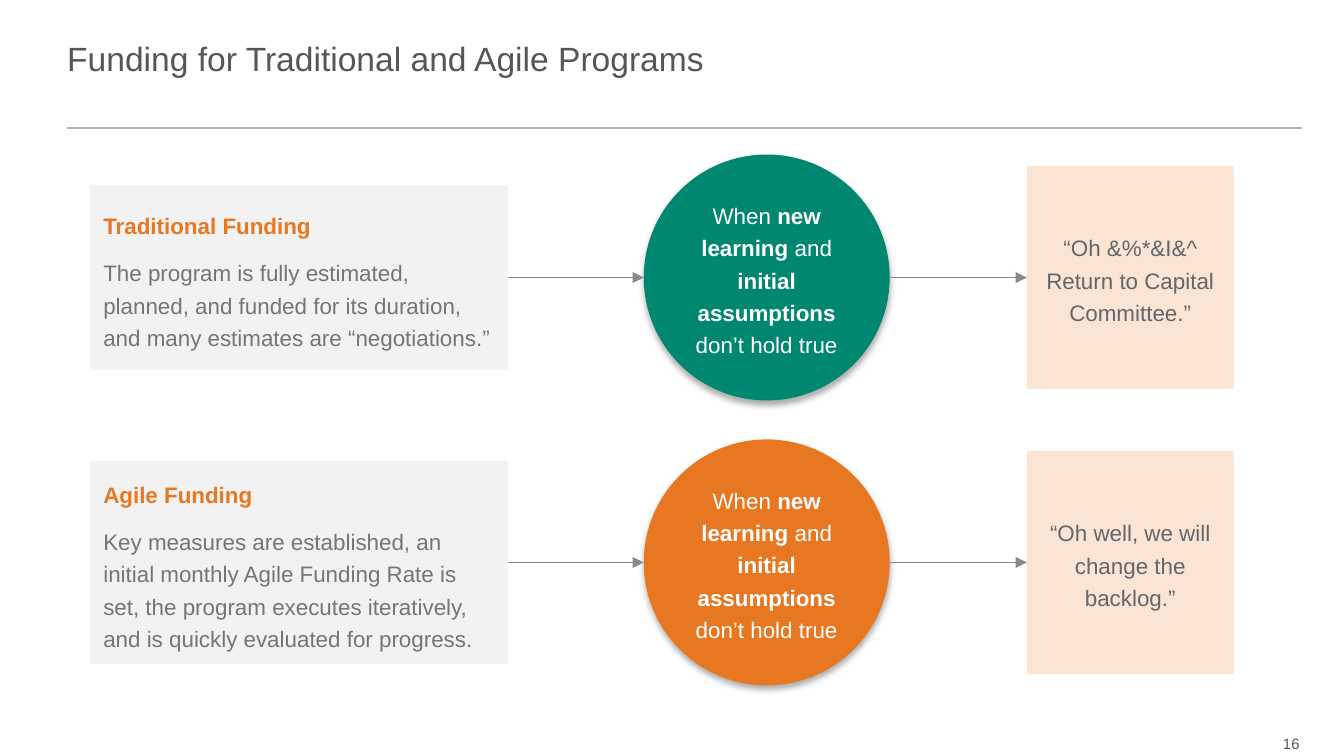
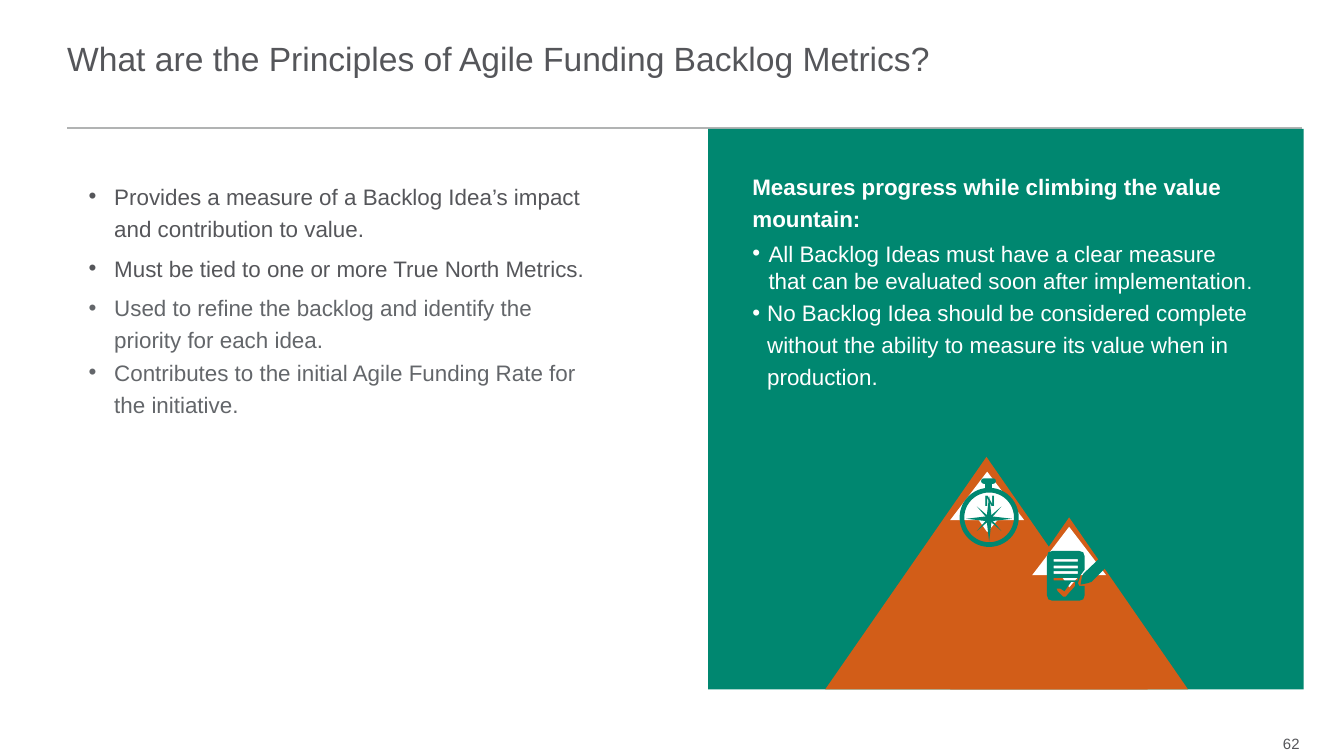
from collections import namedtuple
from dataclasses import dataclass
from math import cos, radians, sin

from lxml.etree import SubElement
from pptx import Presentation
from pptx.dml.color import RGBColor
from pptx.enum.shapes import MSO_CONNECTOR, MSO_SHAPE as Shape
from pptx.enum.text import MSO_ANCHOR as Anchor, MSO_AUTO_SIZE, PP_ALIGN as Align
from pptx.oxml.ns import qn
from pptx.util import Inches, Pt

Box = namedtuple("Box", "x y w h")


@dataclass(frozen=True)
class Theme:
    font: str = "Arial"
    title_size: float = 18
    body_size: float = 12
    period_size: float = 11
    small_size: float = 8
    ink: str = "55565A"
    soft_ink: str = "63666A"
    grey_text: str = "757575"
    white: str = "FFFFFF"
    green: str = "008770"
    orange: str = "E87722"
    rust: str = "D25D18"
    peach: str = "FAE4D3"
    pale_grey: str = "F2F2F2"
    rule: str = "B1B3B3"
    arrow: str = "888B8D"


THEME = Theme()


@dataclass
class Para:
    """One paragraph; text between bars is bold."""
    text: str
    color: str
    size: float = THEME.body_size
    bold: bool = False
    align: Align = Align.LEFT
    spacing: float = 1.2
    after: float = 0
    indent: float = 0


def rgb(code):
    return RGBColor.from_string(code)


def inside(box, x, y, w, h):
    return Box(box.x + x, box.y + y, w, h)


def move(shape, box):
    shape.left, shape.top, shape.width, shape.height = map(Inches, box)


def write(frame, paras, anchor=Anchor.TOP, insets=(0.1, 0.05)):
    frame.word_wrap = True
    frame.auto_size = MSO_AUTO_SIZE.NONE
    frame.vertical_anchor = anchor
    frame.margin_left = frame.margin_right = Inches(insets[0])
    frame.margin_top = frame.margin_bottom = Inches(insets[1])
    for index, para in enumerate(paras):
        paragraph = frame.add_paragraph() if index else frame.paragraphs[0]
        for order, piece in enumerate(para.text.split("|")):
            run = paragraph.add_run()
            run.text = piece
            if order % 2:
                run.font.bold = True
        if para.indent:
            props = paragraph._p.get_or_add_pPr()
            props.set("marL", str(Inches(para.indent)))
            props.set("indent", str(-Inches(para.indent)))
            SubElement(props, qn("a:buFont"), typeface=THEME.font)
            SubElement(props, qn("a:buChar"), char="•")
        paragraph.alignment = para.align
        paragraph.line_spacing = para.spacing
        paragraph.space_before = Pt(0)
        paragraph.space_after = Pt(para.after)
        font = paragraph.font
        font.name, font.size, font.bold = THEME.font, Pt(para.size), para.bold
        font.color.rgb = rgb(para.color)


def add_text(slide, box, paras, **layout):
    frame = slide.shapes.add_textbox(*map(Inches, box)).text_frame
    write(frame, paras, **layout)
    return frame


def paint(shape, color):
    shape.shadow.inherit = False
    shape.fill.solid()
    shape.fill.fore_color.rgb = rgb(color)
    shape.line.fill.background()
    return shape


def add_block(slide, kind, box, color):
    return paint(slide.shapes.add_shape(kind, *map(Inches, box)), color)


def add_polygon(slide, box, contours, color):
    """Fill closed contours given relative to the box; later ones cut holes."""
    outline, *holes = [[(Inches(box.x + x), Inches(box.y + y)) for x, y in points]
                       for points in contours]
    builder = slide.shapes.build_freeform(*outline[0], scale=1.0)
    builder.add_line_segments(outline[1:], close=True)
    for hole in holes:
        builder.move_to(*hole[0])
        builder.add_line_segments(hole[1:], close=True)
    return paint(builder.convert_to_shape(), color)


def add_line(slide, start, end, color, width, arrow=False):
    ends = map(Inches, (*start, *end))
    line = slide.shapes.add_connector(MSO_CONNECTOR.STRAIGHT, *ends)
    line.line.color.rgb = rgb(color)
    line.line.width = Pt(width)
    props = line._element.spPr
    if arrow:
        SubElement(props.find(qn("a:ln")), qn("a:tailEnd"), type="triangle")
    SubElement(props, qn("a:effectLst"))


def add_soft_shadow(shape):
    effects = shape._element.spPr.find(qn("a:effectLst"))
    shadow = SubElement(effects, qn("a:outerShdw"), blurRad=str(Pt(3.5)),
                        dist=str(Pt(2.2)), dir="5400000", rotWithShape="0")
    tint = SubElement(shadow, qn("a:srgbClr"), val="000000")
    SubElement(tint, qn("a:alpha"), val="32000")


def start_slide(deck, layout, title, number):
    """Add a slide with the shared title, rule and page number."""
    slide = deck.slides.add_slide(deck.slide_layouts.get_by_name(layout))
    add_line(slide, (0.5, 0.95), (9.69, 0.95), THEME.rule, 1)
    move(slide.shapes.title, Box(0.5, 0.07, 7.33, 0.73))
    write(slide.shapes.title.text_frame,
          [Para(title, THEME.ink, THEME.title_size, spacing=1)],
          anchor=Anchor.MIDDLE, insets=(0, 0))
    add_text(slide, Box(9.25, 5.43, 0.42, 0.2),
             [Para(str(number), THEME.ink, THEME.small_size, align=Align.RIGHT, spacing=1)],
             anchor=Anchor.MIDDLE, insets=(0, 0))
    return slide


def add_funding_row(slide, row, heading, plan, plan_height, circle_color, reaction):
    """Funding plan, learning circle and reaction, centred on the row's middle."""
    def centred(x, w, h):
        return inside(row, x, (row.h - h) / 2, w, h)

    plan_box = centred(0, 3.11, plan_height)
    circle_box = centred(4.12, 1.83, 1.83)
    reaction_box = centred(6.97, 1.54, 1.66)

    funding = add_block(slide, Shape.RECTANGLE, plan_box, THEME.pale_grey)
    write(funding.text_frame,
          [Para(heading, THEME.orange, bold=True, spacing=1.3, after=8),
           Para(plan, THEME.grey_text, after=8)],
          anchor=Anchor.MIDDLE, insets=(0.1, 0.1))

    quote = add_block(slide, Shape.RECTANGLE, reaction_box, THEME.peach)
    write(quote.text_frame, [Para(reaction, THEME.soft_ink, align=Align.CENTER)],
          anchor=Anchor.MIDDLE)

    learning = add_block(slide, Shape.OVAL, circle_box, circle_color)
    add_soft_shadow(learning)
    write(learning.text_frame,
          [Para("When |new learning |and |initial assumptions| don’t hold true",
                THEME.white, align=Align.CENTER)],
          anchor=Anchor.MIDDLE)

    middle = row.y + row.h / 2
    for left, right in ((plan_box, circle_box), (circle_box, reaction_box)):
        add_line(slide, (left.x + left.w, middle), (right.x, middle),
                 THEME.arrow, 0.75, arrow=True)


def add_compass(slide, box):
    add_text(slide, inside(box, -0.19, 0.05, 0.83, 0.24),
             [Para("N", THEME.green, THEME.small_size, bold=True,
                   align=Align.CENTER, spacing=1)])
    ring = add_block(slide, Shape.DONUT, inside(box, 0, 0.07, 0.44, 0.44), THEME.green)
    ring.adjustments[0] = 0.08
    for part in ((0.16, 0, 0.11, 0.04), (0.19, 0.02, 0.05, 0.08)):
        knob = add_block(slide, Shape.ROUNDED_RECTANGLE, inside(box, *part), THEME.green)
        knob.adjustments[0] = 0.5
    add_block(slide, Shape.OVAL, inside(box, 0.2, 0.27, 0.04, 0.05), THEME.green)
    center_x, center_y = 0.22, 0.3
    for angle in range(0, 360, 45):
        length, half = (0.13, 0.01) if angle % 90 else (0.17, 0.02)
        across, along = cos(radians(angle)), sin(radians(angle))
        needle = [(center_x + length * across, center_y + length * along),
                  (center_x - half * along, center_y + half * across),
                  (center_x + half * along, center_y - half * across)]
        add_polygon(slide, box, [needle], THEME.green)


def add_checklist(slide, box):
    sheet = [(0.04, 0), (0.24, 0), (0.27, 0.01), (0.28, 0.04), (0.28, 0.14),
             (0.25, 0.18), (0.23, 0.24), (0.24, 0.26), (0.28, 0.26),
             (0.28, 0.33), (0.27, 0.36), (0.24, 0.37), (0.04, 0.37),
             (0.01, 0.36), (0, 0.33), (0, 0.04), (0.01, 0.01)]
    text_lines = [[(0.05, y), (0.23, y), (0.23, y + 0.02), (0.05, y + 0.02)]
                  for y in (0.06, 0.11, 0.15, 0.2)]
    tick = [(0.21, 0.26), (0.14, 0.34), (0.12, 0.34), (0.08, 0.3), (0.07, 0.28),
            (0.1, 0.28), (0.13, 0.3), (0.18, 0.23), (0.21, 0.23)]
    add_polygon(slide, box, [sheet, *text_lines, tick], THEME.green)
    pencil = [(0.49, -0.04), (0.27, 0.17), (0.26, 0.19), (0.25, 0.25), (0.3, 0.24),
              (0.33, 0.23), (0.54, 0.02), (0.54, 0), (0.5, -0.04)]
    add_polygon(slide, box, [pencil], THEME.green)


def add_value_mountain(slide, box):
    for slope in ((0, 0, 2.4, 1.73), (0.93, 0.45, 1.77, 1.28)):
        add_block(slide, Shape.ISOSCELES_TRIANGLE, inside(box, *slope), THEME.rust)
    for x, y in ((0.93, 0.11), (1.54, 0.52)):
        add_block(slide, Shape.ISOSCELES_TRIANGLE,
                  inside(box, x, y, 0.55, 0.36), THEME.white)
        snow_drip = add_block(slide, Shape.ISOSCELES_TRIANGLE,
                              inside(box, x + 0.14, y + 0.27, 0.28, 0.18), THEME.white)
        snow_drip.rotation = 182.7
    add_compass(slide, inside(box, 1, 0.16, 0.44, 0.51))
    add_checklist(slide, inside(box, 1.65, 0.7, 0.28, 0.37))


def add_progress_panel(slide, box):
    add_block(slide, Shape.RECTANGLE, box, THEME.green)
    frame = add_text(slide, inside(box, 0.23, 0.24, 3.97, 1.77), [
        Para("Measures progress while climbing the value mountain:",
             THEME.white, bold=True, after=4),
        Para("All Backlog Ideas must have a clear measure that can be evaluated "
             "soon after implementation", THEME.white, spacing=1, indent=0.12),
        Para("No Backlog Idea should be considered complete without the ability "
             "to measure its value when in production.",
             THEME.white, after=6, indent=0.11)])
    period = frame.paragraphs[1].add_run()
    period.text = "."
    period.font.size = Pt(THEME.period_size)
    add_value_mountain(slide, inside(box, 0.87, 2.44, 2.7, 1.73))


def build_funding_slide(deck):
    slide = start_slide(deck, "Title Only", "Funding for Traditional and Agile Programs", 16)
    add_funding_row(
        slide, Box(0.67, 1.15, 8.51, 1.83), "Traditional Funding",
        "The program is fully estimated, planned, and funded for its duration, "
        "and many estimates are “negotiations.”",
        1.37, THEME.green, "“Oh &%*&I&^ Return to Capital Committee.”")
    add_funding_row(
        slide, Box(0.67, 3.27, 8.51, 1.83), "Agile Funding",
        "Key measures are established, an initial monthly Agile Funding Rate is set, "
        "the program executes iteratively, and is quickly evaluated for progress.",
        1.51, THEME.orange, "“Oh well, we will change the backlog.”")


def build_metrics_slide(deck):
    slide = start_slide(deck, "Title and Content",
                        "What are the Principles of Agile Funding Backlog Metrics?", 62)
    principles = slide.placeholders[1]
    move(principles, Box(0.56, 1.27, 3.94, 1.91))
    write(principles.text_frame, [
        Para(text, color, after=after, indent=0.19) for text, color, after in (
            ("Provides a measure of a Backlog Idea’s impact and contribution to value.",
             THEME.ink, 4),
            ("Must be tied to one or more True North Metrics.", THEME.ink, 4),
            ("Used to refine the backlog and identify the priority for each idea.",
             THEME.soft_ink, 0),
            ("Contributes to the initial Agile Funding Rate for the initiative.",
             THEME.soft_ink, 0))])
    add_progress_panel(slide, Box(5.27, 0.96, 4.43, 4.17))


def main():
    deck = Presentation()
    deck.slide_width = Inches(10)
    deck.slide_height = Inches(10) * 9 // 16
    build_funding_slide(deck)
    build_metrics_slide(deck)
    deck.save("out.pptx")


if __name__ == "__main__":
    main()
